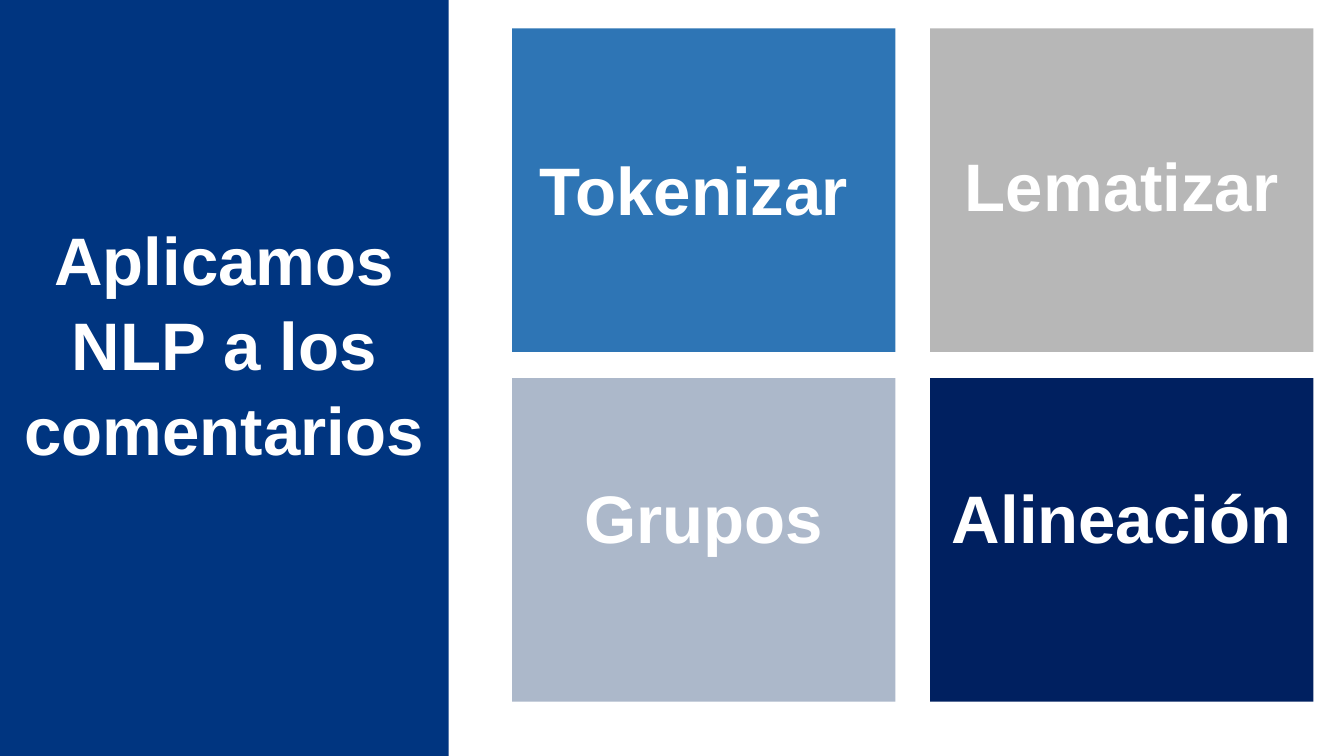
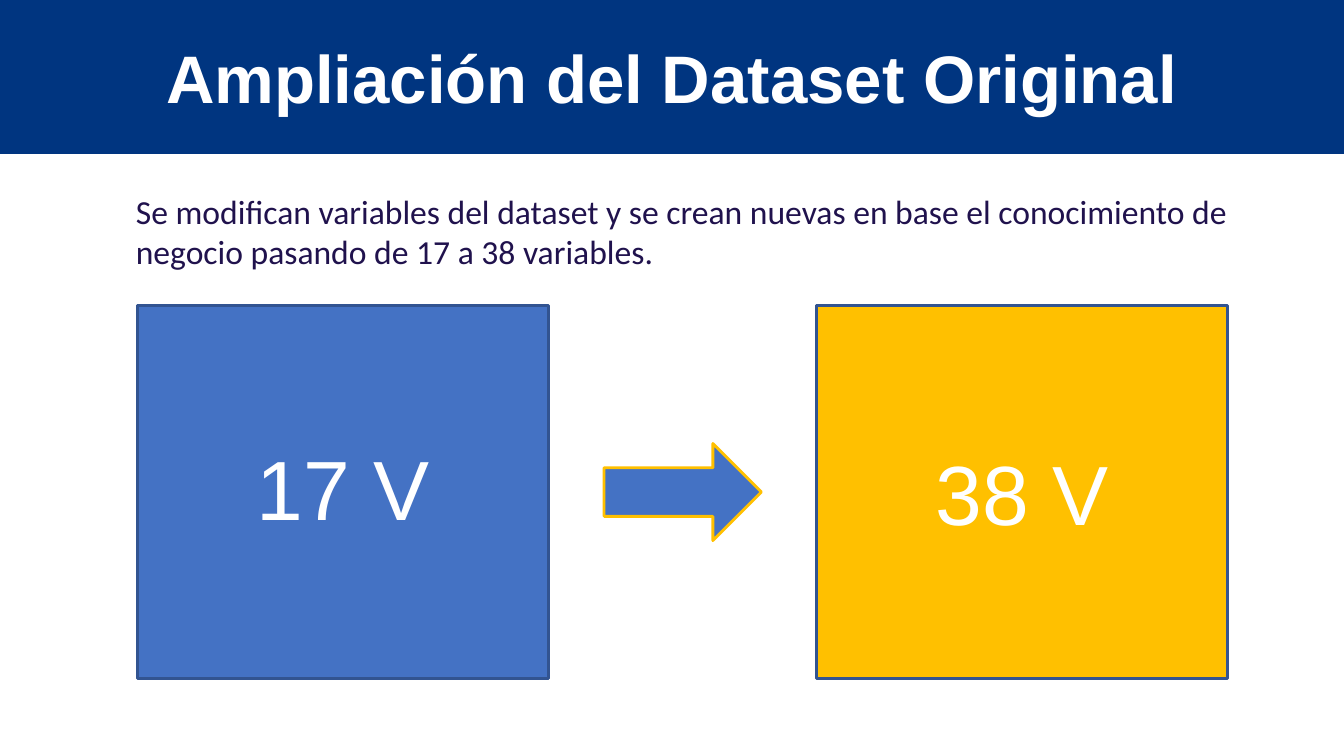
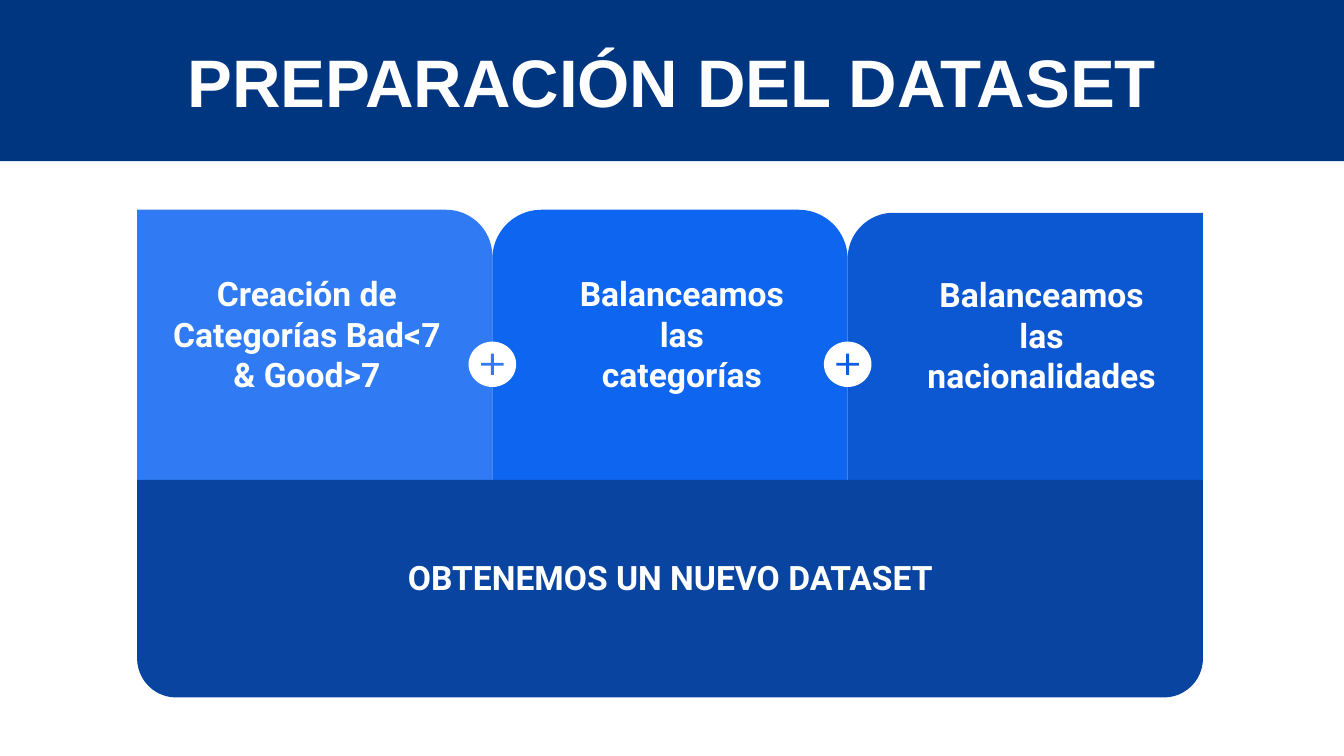
from dataclasses import dataclass

from pptx import Presentation
from pptx.dml.color import RGBColor
from pptx.enum.shapes import MSO_SHAPE
from pptx.enum.text import MSO_ANCHOR, PP_ALIGN
from pptx.shapes.autoshape import Shape
from pptx.slide import Slide
from pptx.util import Pt

# Shared look
SLIDE_W, SLIDE_H = 960, 540
NAVY, WHITE, INK = "003580", "FFFFFF", "20124D"
BLUE, GOLD, OUTLINE = "4472C4", "FFC000", "325491"


@dataclass(frozen=True)
class Box:
    left: float
    top: float
    width: float
    height: float


@dataclass(frozen=True)
class Style:
    font: str
    size: float
    colour: str = WHITE
    bold: bool = True
    align: PP_ALIGN = PP_ALIGN.CENTER
    spacing: float = 1.0


@dataclass(frozen=True)
class Tile:
    label: str
    fill: str
    dx: float
    dy: float


@dataclass(frozen=True)
class Card:
    label: str
    fill: str
    outline: MSO_SHAPE
    corners: tuple[float, ...]
    text_box: Box
    drop: float = 0
    mirrored: bool = False


TITLE = Style("Arial", 48)
PANEL_TITLE = Style("Arial", 48, spacing=1.05)
FIGURE = Style("Arial", 60, bold=False)
BODY = Style("Calibri", 24, INK, bold=False, align=PP_ALIGN.LEFT)
CARD_TEXT = Style("Roboto", 24)


def rgb(colour: str) -> RGBColor:
    return RGBColor.from_string(colour)


def set_text(shape: Shape, text: str, style: Style) -> None:
    frame = shape.text_frame
    frame.word_wrap = True
    frame.text = text
    for paragraph in frame.paragraphs:
        paragraph.alignment = style.align
        paragraph.line_spacing = style.spacing
        for run in paragraph.runs:
            run.font.name = style.font
            run.font.size = Pt(style.size)
            run.font.bold = style.bold
            run.font.color.rgb = rgb(style.colour)


def add_block(slide: Slide, box: Box, fill: str, kind: MSO_SHAPE = MSO_SHAPE.RECTANGLE,
              line: str | None = None, corners: tuple[float, ...] = ()) -> Shape:
    block = slide.shapes.add_shape(
        kind, Pt(box.left), Pt(box.top), Pt(box.width), Pt(box.height))
    block.shadow.inherit = False
    block.fill.solid()
    block.fill.fore_color.rgb = rgb(fill)
    if line:
        block.line.color.rgb = rgb(line)
        block.line.width = Pt(2)
    else:
        block.line.fill.background()
    for index, corner in enumerate(corners):
        block.adjustments[index] = corner
    return block


def add_label(block: Shape, text: str, style: Style, dx: float = 0, dy: float = 0) -> None:
    """Centre the text in the block, moved by dx and dy through the insets."""
    set_text(block, text, style)
    frame = block.text_frame
    frame.vertical_anchor = MSO_ANCHOR.MIDDLE
    frame.margin_left = Pt(7.2 + max(0, 2 * dx))
    frame.margin_right = Pt(7.2 + max(0, -2 * dx))
    frame.margin_top = Pt(3.6 + max(0, 2 * dy))
    frame.margin_bottom = Pt(3.6 + max(0, -2 * dy))


def add_text(slide: Slide, box: Box, text: str, style: Style, inset: float) -> None:
    note = slide.shapes.add_textbox(
        Pt(box.left), Pt(box.top), Pt(box.width), Pt(box.height))
    set_text(note, text, style)
    frame = note.text_frame
    frame.margin_left = frame.margin_right = Pt(inset)
    frame.margin_top = frame.margin_bottom = Pt(inset)


def add_header(slide: Slide, title: str, height: float) -> None:
    add_label(add_block(slide, Box(0, 0, SLIDE_W, height), NAVY), title, TITLE)


def build_nlp(slide: Slide) -> None:
    # Side panel
    panel = add_block(slide, Box(0, 0, 320.4, SLIDE_H), NAVY)
    add_label(panel, "Aplicamos NLP a los comentarios", PANEL_TITLE, dy=-26)

    # Two by two grid of steps
    tiles = (
        Tile("Tokenizar", "2E75B5", -7, -1),
        Tile("Lematizar", "B7B7B7", 0, -4),
        Tile("Grupos", "ACB8CA", 0, -16.5),
        Tile("Alineación", "002060", 0, -16.5),
    )
    for index, tile in enumerate(tiles):
        row, column = divmod(index, 2)
        box = Box(365.8 + column * 298.6, 20.2 + row * 249.8, 273.8, 231.1)
        add_label(add_block(slide, box, tile.fill), tile.label, TITLE, tile.dx, tile.dy)


def build_expansion(slide: Slide) -> None:
    add_header(slide, "Ampliación del Dataset Original", 110)
    add_text(slide, Box(90, 129, 809, 73),
             "Se modifican variables del dataset y se crean nuevas en base el "
             "conocimiento de negocio pasando de 17 a 38 variables.", BODY, 7.2)

    # Before and after
    for left, fill, count, dy in ((98.4, BLUE, "17 V", -3.5), (583.4, GOLD, "38 V", 0)):
        square = add_block(slide, Box(left, 218.2, 293.4, 266.4), fill, line=OUTLINE)
        add_label(square, count, FIGURE, dy=dy)
    add_block(slide, Box(431.5, 316.8, 112.4, 69.4), BLUE, MSO_SHAPE.RIGHT_ARROW, GOLD)


def build_preparation(slide: Slide) -> None:
    add_header(slide, "PREPARACIÓN DEL DATASET", 115.2)
    left, top, bottom, width = 97.9, 149.8, 344.8, 253.8
    one_round, two_round = MSO_SHAPE.ROUND_1_RECTANGLE, MSO_SHAPE.ROUND_2_SAME_RECTANGLE

    # Three joined cards
    cards = (
        Card("Creación de Categorías Bad<7 & Good>7", "307BF3", one_round, (0.17,),
             Box(112.3, 185.8, 213.8, 57)),
        Card("Balanceamos\nlas\ncategorías", "0E65F0", two_round, (0.18, 0),
             Box(391, 185.8, 192.2, 57)),
        Card("Balanceamos\nlas\nnacionalidades", "0C58D3", one_round, (0.17,),
             Box(640, 186.5, 208, 57), drop=2.2, mirrored=True),
    )
    for index, card in enumerate(cards):
        card_top = top + card.drop
        box = Box(left + index * width, card_top, width, bottom - card_top)
        block = add_block(slide, box, card.fill, card.outline, corners=card.corners)
        if card.mirrored:
            block.element.spPr.xfrm.set("flipH", "1")
        add_text(slide, card.text_box, card.label, CARD_TEXT, 9.4)

    # Plus signs on the seams
    for seam, colour in enumerate(("307BF3", "0D5DDF"), start=1):
        centre_x, centre_y = left + seam * width, 260.2
        for kind, fill, w, h, corners in (
                (MSO_SHAPE.OVAL, WHITE, 34, 32.4, ()),
                (MSO_SHAPE.MATH_PLUS, colour, 21.8, 20.8, (0.1,))):
            box = Box(centre_x - w / 2, centre_y - h / 2, w, h)
            add_block(slide, box, fill, kind, corners=corners)

    # Result
    base = add_block(slide, Box(left, 342.7, 3 * width, 155.5), "0944A1",
                     two_round, corners=(0.18, 0))
    base.rotation = 180
    add_text(slide, Box(218.9, 388.1, 519.8, 43.2),
             "OBTENEMOS UN NUEVO DATASET", CARD_TEXT, 9.4)


def main() -> None:
    deck = Presentation()
    deck.slide_width, deck.slide_height = Pt(SLIDE_W), Pt(SLIDE_H)
    for build in (build_nlp, build_expansion, build_preparation):
        build(deck.slides.add_slide(deck.slide_layouts[6]))
    deck.save("out.pptx")


if __name__ == "__main__":
    main()
